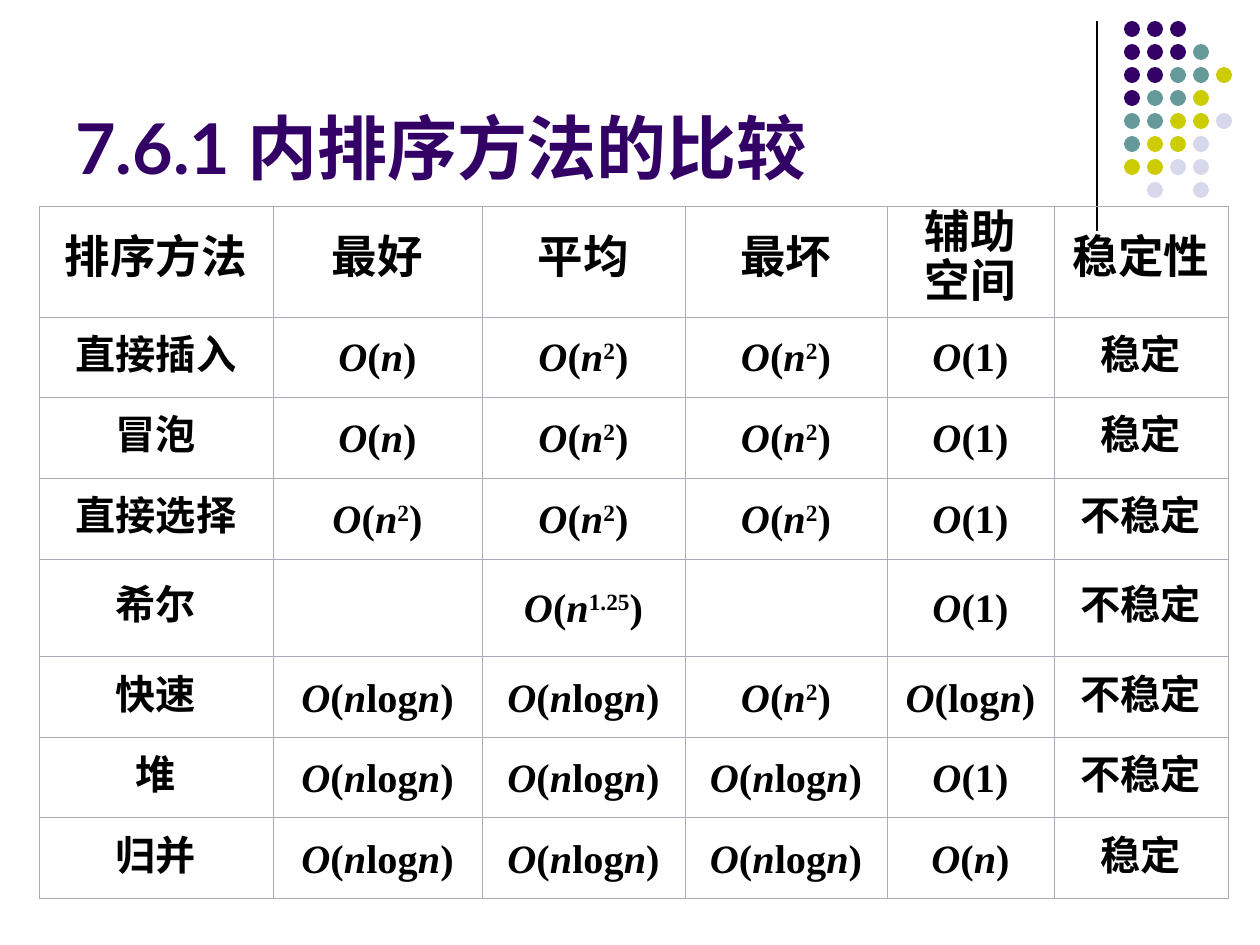
from itertools import groupby
from lxml.etree import SubElement
from pptx import Presentation
from pptx.dml.color import RGBColor
from pptx.enum.shapes import MSO_CONNECTOR, MSO_SHAPE
from pptx.enum.text import MSO_ANCHOR, PP_ALIGN
from pptx.oxml.ns import qn
from pptx.util import Pt


def px(n):
    return round(n * 914400 / 126)


def hue(code):
    return RGBColor.from_string(code)


deck = Presentation()
deck.slide_width, deck.slide_height = px(1260), px(945)
slide = deck.slides.add_slide(deck.slide_layouts[6])
shapes = slide.shapes

# Vertical rule
rule = shapes.add_connector(MSO_CONNECTOR.STRAIGHT, px(1097), px(21), px(1097), px(231))
rule.line.color.rgb = hue("000000")
rule.line.width = Pt(0.75)
SubElement(rule._element.spPr, qn("a:effectLst"))

# Dot pattern: one letter per dot
tints = {"P": "330066", "T": "669999", "Y": "CCCC00", "L": "D8D8EC"}
dots = ["PPP", "PPPT", "PPTTY", "PTTY", "TTYYL", "TYYL", "YYLL", " L L"]
for j, line in enumerate(dots):
    for i, key in enumerate(line):
        if key in tints:
            dot = shapes.add_shape(MSO_SHAPE.OVAL, px(1124 + 23 * i),
                                   px(21 + 23 * j), px(16), px(16))
            dot.shadow.inherit = False
            dot.fill.solid()
            dot.fill.fore_color.rgb = hue(tints[key])
            dot.line.fill.background()

# Title
box = shapes.add_textbox(px(63), px(16), px(1040), px(179))
frame = box.text_frame
frame.word_wrap = True
frame.vertical_anchor = MSO_ANCHOR.BOTTOM
para = frame.paragraphs[0]
para.text = "7.6.1 内排序方法的比较"
para.font.name, para.font.size, para.font.bold = "Lato", Pt(40), True
para.font.color.rgb = hue("330066")

# Table: ^ marks a raised exponent
rows = [
    ["排序方法", "最好", "平均", "最坏", "辅助\n空间", "稳定性"],
    ["直接插入", "O(n)", "O(n^2)", "O(n^2)", "O(1)", "稳定"],
    ["冒泡", "O(n)", "O(n^2)", "O(n^2)", "O(1)", "稳定"],
    ["直接选择", "O(n^2)", "O(n^2)", "O(n^2)", "O(1)", "不稳定"],
    ["希尔", "", "O(n^1.25)", "", "O(1)", "不稳定"],
    ["快速", "O(nlogn)", "O(nlogn)", "O(n^2)", "O(logn)", "不稳定"],
    ["堆", "O(nlogn)", "O(nlogn)", "O(nlogn)", "O(1)", "不稳定"],
    ["归并", "O(nlogn)", "O(nlogn)", "O(nlogn)", "O(n)", "稳定"],
]
wide = [234, 209, 203, 202, 167, 174]
high = [111, 80, 81, 81, 98, 81, 80, 81]
grid = shapes.add_table(len(rows), len(wide), px(39), px(206),
                        px(sum(wide)), px(sum(high))).table
grid.first_row = grid.horz_banding = False
for col, size in zip(grid.columns, wide):
    col.width = px(size)
for row, size in zip(grid.rows, high):
    row.height = px(size)

for j, row in enumerate(rows):
    for i, text in enumerate(row):
        cell = grid.cell(j, i)
        cell.vertical_anchor = MSO_ANCHOR.MIDDLE
        # Thin borders, no fill
        props = cell._tc.get_or_add_tcPr()
        for side in ("lnL", "lnR", "lnT", "lnB"):
            edge = SubElement(props, qn("a:" + side), w=str(Pt(0.45)))
            fill = SubElement(edge, qn("a:solidFill"))
            SubElement(fill, qn("a:srgbClr"), val="AAAAB8")
        cell.fill.background()
        # Wording, with letters in italics and exponents raised
        if text.startswith("O"):
            para = cell.text_frame.paragraphs[0]
            power = "12.5" if "^" in text else ""
            parts = groupby(text.replace("^", ""), lambda c: (c in "On", c in power))
            for (slant, lift), chars in parts:
                run = para.add_run()
                run.text = "".join(chars)
                run.font.italic = slant
                if lift:
                    run._r.get_or_add_rPr().set("baseline", "30000")
        else:
            cell.text_frame.text = text
        for para in cell.text_frame.paragraphs:
            para.alignment = PP_ALIGN.CENTER
            para.line_spacing = Pt(27 if j else 28)
            font = para.font
            font.name = "Times New Roman" if j and i else "Arial"
            font.size, font.bold = Pt(23 if j else 26), True
            font.color.rgb = hue("000000")

deck.save("out.pptx")
